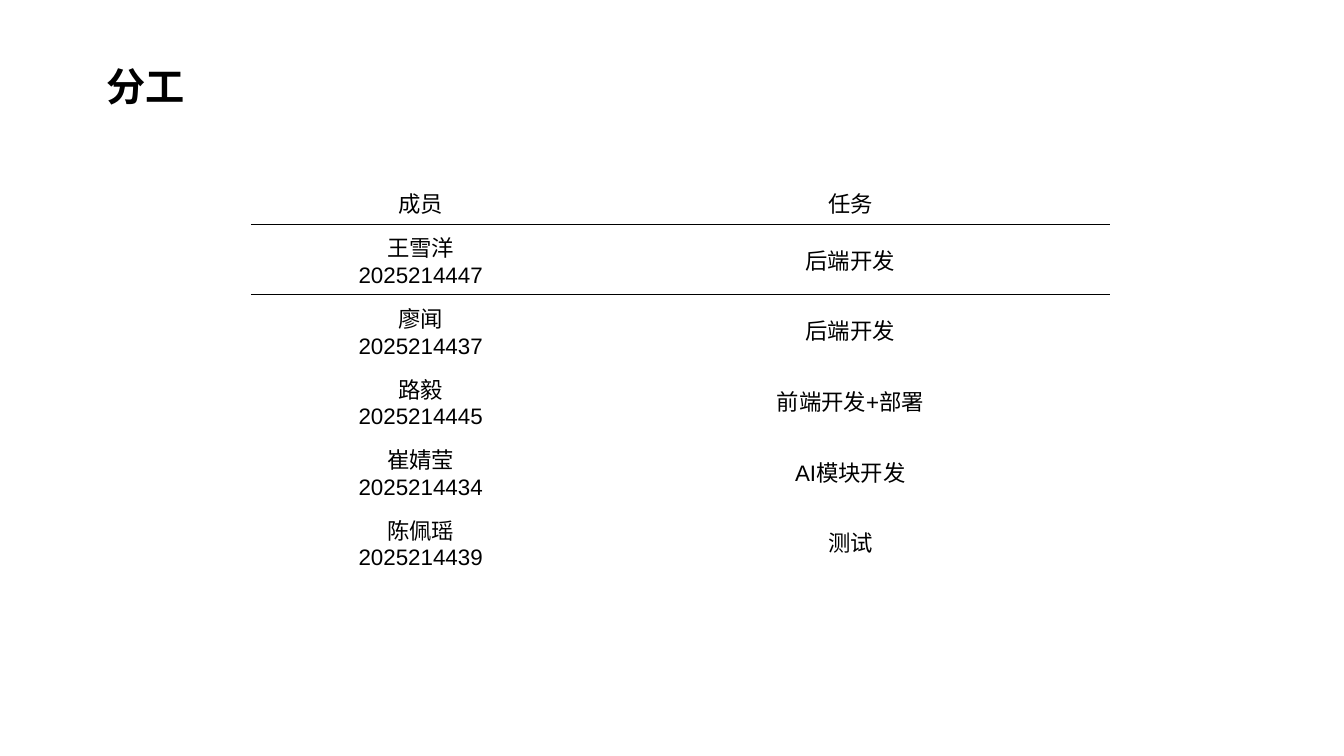
from dataclasses import dataclass

from lxml.etree import SubElement
from pptx import Presentation
from pptx.dml.color import RGBColor
from pptx.enum.text import MSO_ANCHOR, PP_ALIGN
from pptx.oxml.ns import qn
from pptx.util import Cm, Pt


@dataclass(frozen=True)
class Theme:
    ink: str = "000000"
    latin_font: str = "Arial"
    chinese_font: str = "Noto Sans CJK SC"
    title_size: int = 28
    table_size: int = 16
    rule_width: int = 1


class SlideBuilder:
    def __init__(self, deck, theme):
        self.theme = theme
        self.page = deck.slides.add_slide(deck.slide_layouts[6])

    def add_span(self, para, text, size, font, bold=False):
        span = para.add_run()
        span.text = text
        span.font.size = Pt(size)
        span.font.bold = bold
        span.font.name = font
        span.font.color.rgb = RGBColor.from_string(self.theme.ink)
        properties = span.font._element
        SubElement(properties, qn("a:ea"), typeface=self.theme.chinese_font)

    def add_title(self, text, left, top, width, height):
        box = self.page.shapes.add_textbox(Cm(left), Cm(top), Cm(width), Cm(height))
        frame = box.text_frame
        frame.word_wrap = True
        frame.vertical_anchor = MSO_ANCHOR.BOTTOM
        self.add_span(frame.paragraphs[0], text, self.theme.title_size,
                      self.theme.chinese_font, bold=True)

    def set_borders(self, cell, ruled_sides):
        properties = cell._tc.get_or_add_tcPr()
        for side in ("L", "R", "T", "B"):
            line = SubElement(properties, qn(f"a:ln{side}"))
            if side in ruled_sides:
                line.set("w", str(Pt(self.theme.rule_width)))
                fill = SubElement(line, qn("a:solidFill"))
                SubElement(fill, qn("a:srgbClr"), val=self.theme.ink)
            else:
                SubElement(line, qn("a:noFill"))

    def fill_cell(self, cell, lines, ruled_sides):
        cell.margin_left = cell.margin_right = 0
        cell.margin_top = cell.margin_bottom = 0
        cell.vertical_anchor = MSO_ANCHOR.MIDDLE
        self.set_borders(cell, ruled_sides)
        cell.fill.background()
        frame = cell.text_frame
        for index, line in enumerate(lines):
            para = frame.add_paragraph() if index else frame.paragraphs[0]
            para.alignment = PP_ALIGN.CENTER
            self.add_span(para, line, self.theme.table_size, self.theme.latin_font)

    def add_table(self, rows, left, top, widths, heights, ruled_rows):
        table = self.page.shapes.add_table(
            len(rows), len(widths), Cm(left), Cm(top),
            Cm(sum(widths)), Cm(sum(heights))).table
        table.first_row = table.horz_banding = False
        for column, width in zip(table.columns, widths):
            column.width = Cm(width)
        for row, height in zip(table.rows, heights):
            row.height = Cm(height)
        for row_index, row in enumerate(rows):
            # A rule below one row is also the top edge of the next
            ruled_sides = {side for side, above in (("T", row_index - 1), ("B", row_index))
                           if above in ruled_rows}
            for column_index, lines in enumerate(row):
                self.fill_cell(table.cell(row_index, column_index), lines, ruled_sides)


MEMBERS = [
    ("王雪洋", "2025214447", "后端开发"),
    ("廖闻", "2025214437", "后端开发"),
    ("路毅", "2025214445", "前端开发+部署"),
    ("崔婧莹", "2025214434", "AI模块开发"),
    ("陈佩瑶", "2025214439", "测试"),
]


def main():
    deck = Presentation()
    deck.slide_width, deck.slide_height = Cm(33.87), Cm(19.05)
    builder = SlideBuilder(deck, Theme())

    # Heading
    builder.add_title("分工", 2.44, 0.81, 28.4, 2.06)

    # Members and their tasks
    rows = [(["成员"], ["任务"])]
    rows += [([name, number], [task]) for name, number, task in MEMBERS]
    builder.add_table(rows, left=6.32, top=4.58, widths=[8.56, 13.1],
                      heights=[1.07] + [1.78] * len(MEMBERS), ruled_rows={0, 1})

    deck.save("out.pptx")


if __name__ == "__main__":
    main()
